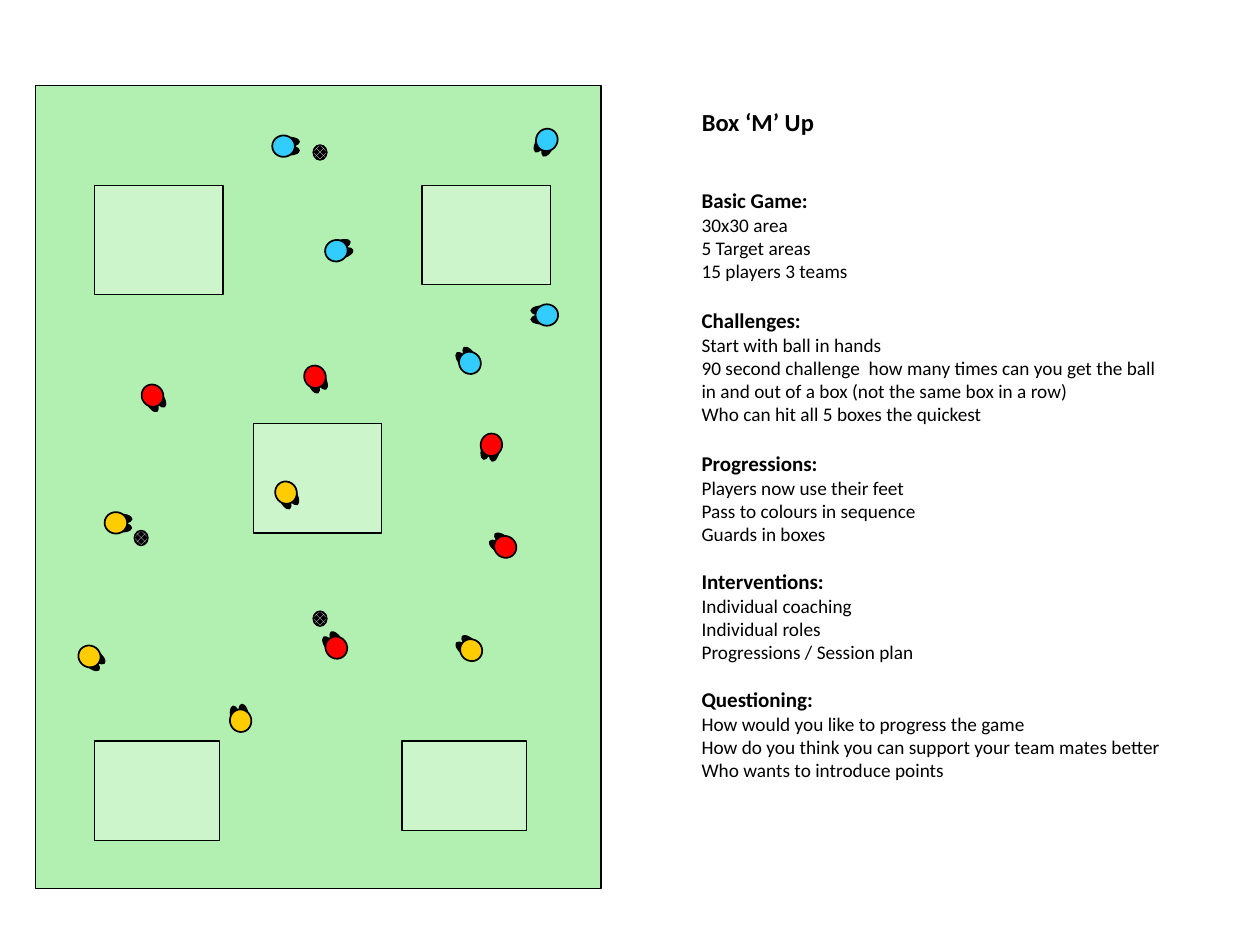
import math
from pptx import Presentation, util as u
from pptx.dml.color import RGBColor
from pptx.enum import dml, shapes, text

BLACK = RGBColor(0, 0, 0)
WHITE = RGBColor(255, 255, 255)
GRASS = RGBColor(0xB2, 0xF0, 0xB2)
TARGET = RGBColor(0xCC, 0xF5, 0xCC)
YELLOW = RGBColor(0xFF, 0xCC, 0)
BLUE = RGBColor(0x33, 0xCC, 0xFF)
RED = RGBColor(0xFF, 0, 0)
RECT, OVAL = shapes.MSO_SHAPE.RECTANGLE, shapes.MSO_SHAPE.OVAL

TARGETS = [(0.47, 0.79, 1.02, 0.87), (3.07, 0.79, 1.02, 0.79),
           (1.73, 2.68, 1.02, 0.87),
           (0.47, 5.2, 0.99, 0.79), (2.91, 5.2, 0.99, 0.71)]
TEAMS = {
    YELLOW: [(3.46, 4.48, 312), (0.43, 4.53, 129), (1.63, 5.04, 348),
             (0.64, 3.47, 92), (1.99, 3.23, 152)],
    BLUE: [(3.45, 2.2, 323), (2.39, 1.31, 72), (1.97, 0.48, 90),
           (4.06, 1.82, 270), (4.06, 0.43, 208)],
    RED: [(2.22, 2.31, 154.5), (3.73, 3.66, 305.5), (2.39, 4.46, 325.5),
          (3.62, 2.85, 192.5), (0.93, 2.46, 148.5)],
}
BALLS = [(0.84, 3.59), (2.26, 4.23), (2.26, 0.53)]
SECTIONS = [
    ("Basic Game:", 0,
     ["30x30 area", "5 Target areas", "15 players 3 teams"]),
    ("Challenges:", 14.6,
     ["Start with ball in hands",
      "90 second challenge  how many times can you get the ball in and out "
      "of a box (not the same box in a row)",
      "Who can hit all 5 boxes the quickest"]),
    ("Progressions:", 14.6,
     ["Players now use their feet", "Pass to colours in sequence",
      "Guards in boxes"]),
    ("Interventions:", 13.4,
     ["Individual coaching", "Individual roles",
      "Progressions / Session plan"]),
    ("Questioning:", 13.4,
     ["How would you like to progress the game",
      "How do you think you can support your team mates better",
      "Who wants to introduce points"]),
]


def add_shape(s, kind, x, y, w, h, color, line=0.75, rotation=0):
    sp = s.shapes.add_shape(kind, *map(u.Inches, (x, y, w, h)))
    sp.shadow.inherit = False
    sp.rotation = rotation
    sp.fill.solid()
    sp.fill.fore_color.rgb = color
    sp.line.color.rgb = BLACK
    sp.line.width = u.Pt(line)
    return sp


def add_oval(s, cx, cy, w, h, color, line=0.75, rotation=0):
    return add_shape(s, OVAL, cx - w / 2, cy - h / 2, w, h, color, line, rotation)


def add_player(s, cx, cy, angle, color):
    sin, cos = math.sin(math.radians(angle)), math.cos(math.radians(angle))
    ahead = 0.04
    for side in (-0.035, 0.035):
        add_oval(s, cx + ahead * sin + side * cos, cy - ahead * cos + side * sin,
                 0.07, 0.17, BLACK, rotation=angle)
    add_oval(s, cx, cy, 0.17, 0.18, color, 1, angle)


def add_ball(s, cx, cy):
    sp = add_oval(s, cx, cy, 0.11, 0.12, BLACK)
    sp.fill.patterned()
    sp.fill.pattern = dml.MSO_PATTERN.SOLID_DIAMOND
    sp.fill.fore_color.rgb = WHITE
    sp.fill.back_color.rgb = BLACK


def add_pitch(s, x, y, w, h):
    add_shape(s, RECT, x, y, w, h, GRASS)
    for left, top, width, height in TARGETS:
        add_shape(s, RECT, x + left, y + top, width, height, TARGET)
    for color, players in TEAMS.items():
        for dx, dy, angle in players:
            add_player(s, x + dx, y + dy, angle, color)
    for dx, dy in BALLS:
        add_ball(s, x + dx, y + dy)


def format_paragraph(p, size, bold):
    p.alignment = text.PP_ALIGN.LEFT
    for r in p.runs:
        r.font.name = "Calibri"
        r.font.size = u.Pt(size)
        r.font.bold = bold
        r.font.color.rgb = BLACK


def add_notes(s, x, y, w, h):
    title_height = 0.64
    sp = s.shapes.title
    sp.left, sp.top, sp.width, sp.height = map(u.Inches, (x, y, w, title_height))
    tf = sp.text_frame
    tf.text = "Box ‘M’ Up"
    tf.vertical_anchor = text.MSO_ANCHOR.TOP
    tf.auto_size = text.MSO_AUTO_SIZE.NONE
    format_paragraph(tf.paragraphs[0], 14, True)

    tf = s.shapes.add_textbox(*map(u.Inches, (x, y + title_height, w,
                                              h - title_height))).text_frame
    tf.word_wrap = True
    p = tf.paragraphs[0]
    for heading, gap, lines in SECTIONS:
        if gap:
            p = tf.add_paragraph()
        p.text = heading
        p.space_before = u.Pt(gap)
        format_paragraph(p, 12, True)
        for line in lines:
            p = tf.add_paragraph()
            p.text = line
            format_paragraph(p, 11, False)


prs = Presentation()
prs.slide_width, prs.slide_height = u.Inches(10), u.Inches(7.5)
s = prs.slides.add_slide(prs.slide_layouts[5])
add_notes(s, 5.47, 0.8, 3.86, 5.5)
add_pitch(s, 0.28, 0.68, 4.49, 6.37)
prs.save("out.pptx")
